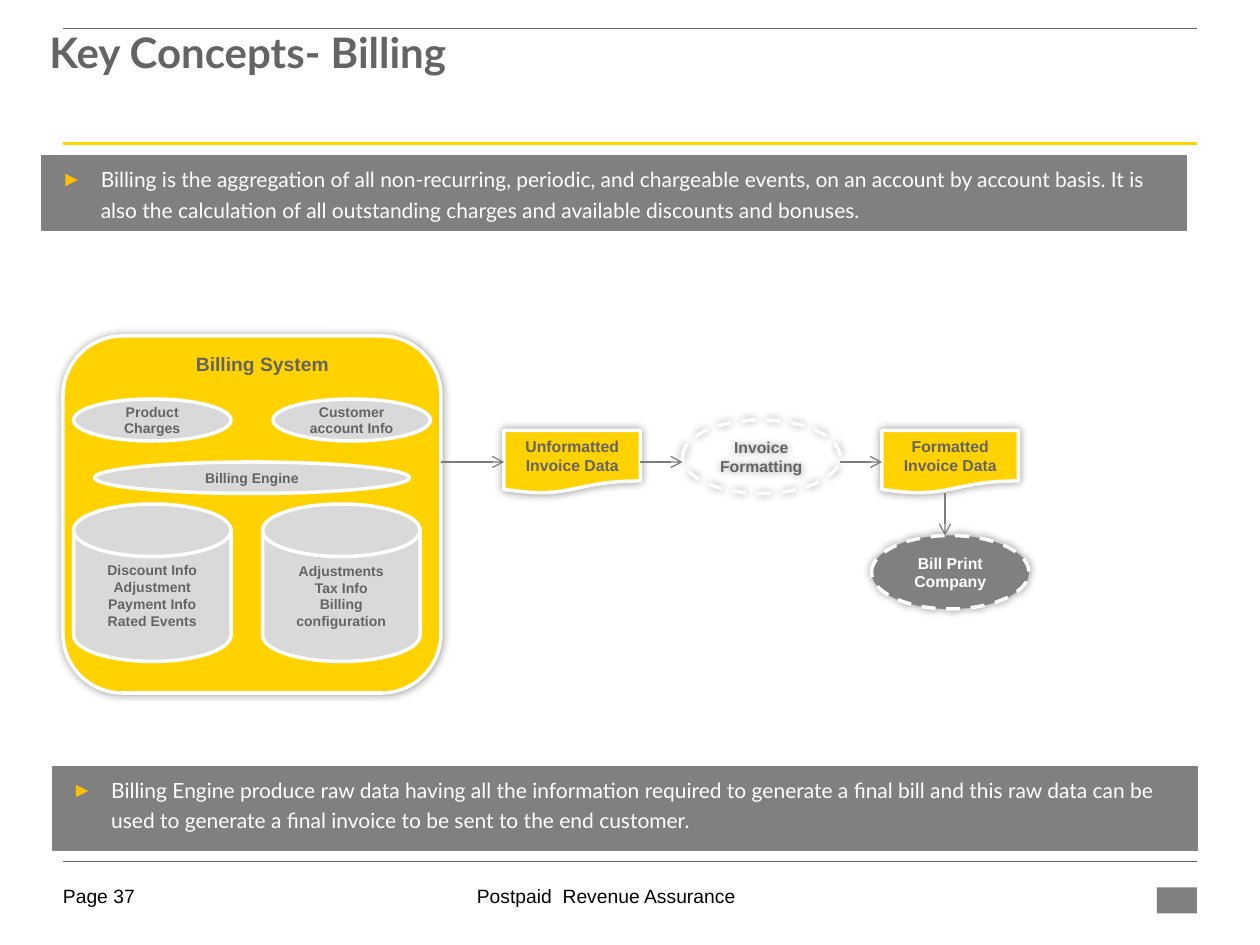
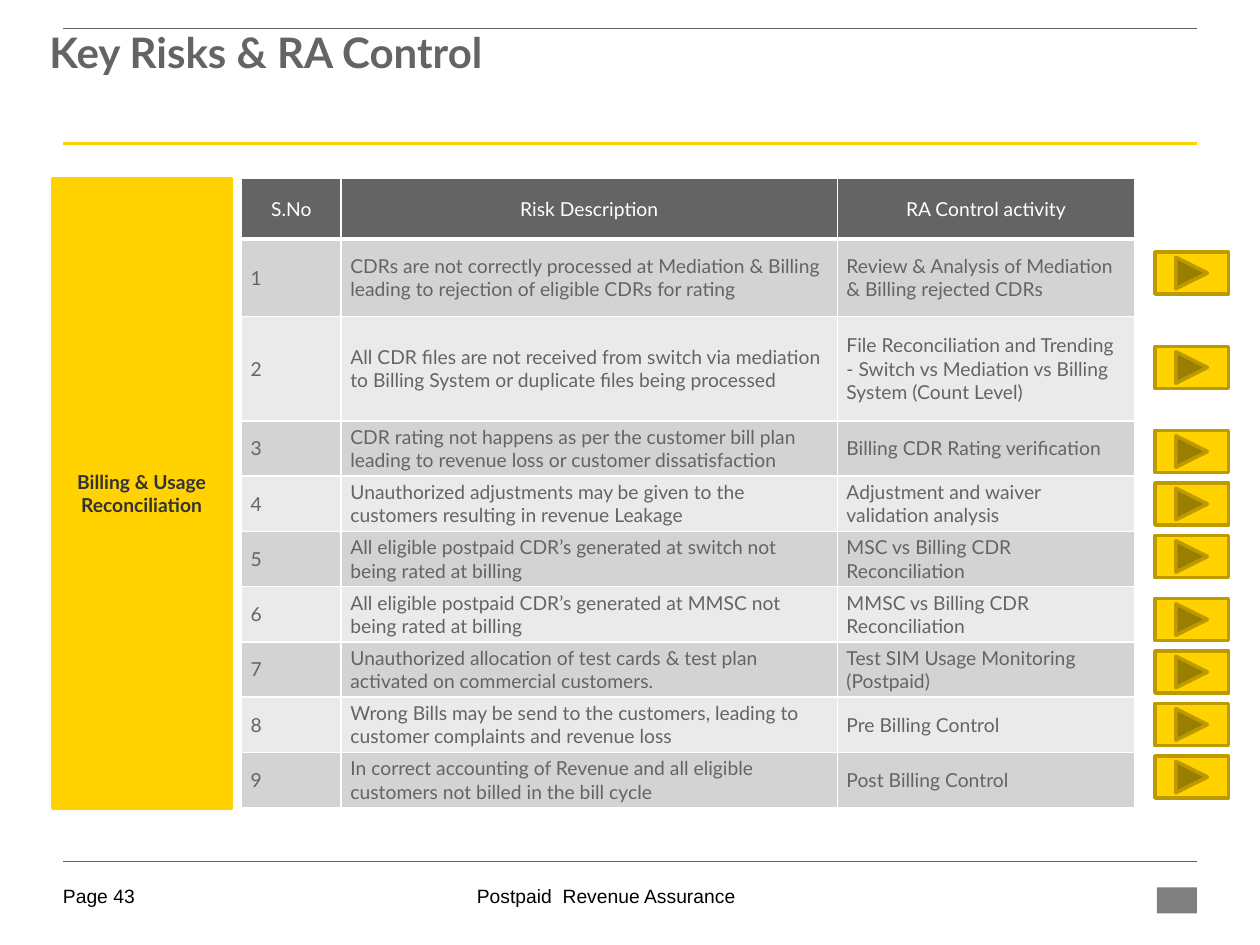
from pptx import Presentation
from pptx.dml.color import RGBColor
from pptx.enum.dml import MSO_LINE
from pptx.enum.shapes import MSO_CONNECTOR, MSO_SHAPE as Preset
from pptx.enum.text import MSO_ANCHOR as Anchor, MSO_AUTO_SIZE, PP_ALIGN as Align
from pptx.oxml.ns import qn
from pptx.util import Pt
from lxml.etree import SubElement

YELLOW = RGBColor(0xFF, 0xD2, 0x00)
DARK_YELLOW = RGBColor(0xBD, 0x9B, 0x00)
AMBER = RGBColor(0xFF, 0xC0, 0x00)
DARK_GRAY = RGBColor(0x64, 0x64, 0x64)
GRAY = RGBColor(0x80, 0x80, 0x80)
ARROW_GRAY = RGBColor(0x7D, 0x7D, 0x7D)
LIGHT_GRAY = RGBColor(0xD9, 0xD9, 0xD9)
ODD_ROW = RGBColor(0xD3, 0xD3, 0xD3)
EVEN_ROW = RGBColor(0xEA, 0xEA, 0xEA)
CHARCOAL = RGBColor(0x32, 0x32, 0x32)
BLACK = RGBColor(0, 0, 0)
WHITE = RGBColor(0xFF, 0xFF, 0xFF)

RISKS = [
    ("CDRs are not correctly processed at Mediation & Billing leading to rejection of eligible CDRs for rating",
     "Review & Analysis of Mediation & Billing rejected CDRs"),
    ("All CDR files are not received from switch via mediation to Billing System or duplicate files being processed",
     "File Reconciliation and Trending - Switch vs Mediation vs Billing System (Count Level)"),
    ("CDR rating not happens as per the customer bill plan leading to revenue loss or customer dissatisfaction",
     "Billing CDR Rating verification"),
    ("Unauthorized adjustments may be given to the customers resulting in revenue Leakage",
     "Adjustment and waiver validation analysis"),
    ("All eligible postpaid CDR’s generated at switch not being rated at billing",
     "MSC vs Billing CDR Reconciliation"),
    ("All eligible postpaid CDR’s generated at MMSC not being rated at billing",
     "MMSC vs Billing CDR Reconciliation"),
    ("Unauthorized allocation of test cards & test plan activated on commercial customers.",
     "Test SIM Usage Monitoring (Postpaid)"),
    ("Wrong Bills may be send to the customers, leading to customer complaints and revenue loss",
     "Pre Billing Control"),
    ("In correct accounting of Revenue and all eligible customers not billed in the bill cycle",
     "Post Billing Control"),
]


class Deck:
    """Holds the presentation style and the current slide."""

    def __init__(self):
        self.presentation = Presentation()
        self.presentation.slide_width = Pt(720)
        self.presentation.slide_height = Pt(540)
        self.slide = None

    def new_slide(self, title, page):
        layout = self.presentation.slide_layouts[5]
        self.slide = self.presentation.slides.add_slide(layout)
        # Rules at the top, under the title and above the footer
        self.line((36, 16), (684, 16), DARK_GRAY, 0.5)
        self.line((36, 82), (684, 82), YELLOW, 1.5)
        self.line((36, 492), (684, 492), DARK_GRAY, 0.25)
        # Title
        placeholder = self.slide.shapes.title
        placeholder.left, placeholder.top = Pt(21), Pt(16)
        placeholder.width, placeholder.height = Pt(684), Pt(68)
        self.set_text(placeholder, title, 24, DARK_GRAY, "Lato", True, Align.LEFT, Anchor.TOP)
        placeholder.text_frame.auto_size = MSO_AUTO_SIZE.NONE
        placeholder.text_frame.paragraphs[0].line_spacing = 0.85
        # Footer
        self.text_box((36, 505.5, 53, 16), f"Page {page}", 11, BLACK, align=Align.LEFT, inset=0)
        self.text_box((198, 505.5, 297, 16), "Postpaid  Revenue Assurance", 11, BLACK, inset=0)
        self.shape(Preset.RECTANGLE, (661, 507, 23, 15), GRAY)

    def set_text(self, holder, text, size, color, font="Arial", bold=False,
                 align=Align.CENTER, anchor=Anchor.MIDDLE):
        frame = holder.text_frame
        frame.text = text
        frame.word_wrap = True
        frame.vertical_anchor = anchor
        for paragraph in frame.paragraphs:
            paragraph.alignment = align
            for run in paragraph.runs:
                self.style(run, size, color, font, bold)

    def style(self, run, size, color, font, bold=False):
        run.font.name, run.font.size, run.font.bold = font, Pt(size), bold
        run.font.color.rgb = color

    def text_box(self, box, text, size, color, bold=False, align=Align.CENTER, inset=None):
        text_box = self.slide.shapes.add_textbox(*map(Pt, box))
        self.set_text(text_box, text, size, color, bold=bold, align=align, anchor=Anchor.TOP)
        if inset is not None:
            frame = text_box.text_frame
            frame.margin_left = frame.margin_right = Pt(inset)
            frame.margin_top = frame.margin_bottom = Pt(inset)

    def shape(self, preset, box, fill=None, line=None, width=2, dashed=False, glow=False):
        shape = self.slide.shapes.add_shape(preset, *map(Pt, box))
        shape.shadow.inherit = False
        if fill is None:
            shape.fill.background()
        else:
            shape.fill.solid()
            shape.fill.fore_color.rgb = fill
        if line is None:
            shape.line.fill.background()
        else:
            shape.line.color.rgb = line
            shape.line.width = Pt(width)
        if dashed:
            shape.line.dash_style = MSO_LINE.DASH
        if glow:
            effects = shape._element.spPr.find(qn("a:effectLst"))
            shadow = SubElement(effects, qn("a:outerShdw"), blurRad=str(Pt(5)), dist="0", dir="0",
                                algn="ctr", rotWithShape="0")
            color = SubElement(shadow, qn("a:srgbClr"), val=str(BLACK))
            SubElement(color, qn("a:alpha"), val="40000")
        return shape

    def node(self, preset, box, text, fill=LIGHT_GRAY, size=8, color=DARK_GRAY,
             anchor=Anchor.MIDDLE, **look):
        shape = self.shape(preset, box, fill, WHITE, **look)
        self.set_text(shape, text, size, color, bold=True, anchor=anchor)

    def band(self, box, text):
        shape = self.shape(Preset.RECTANGLE, box, GRAY, GRAY, 1)
        self.set_text(shape, text, 12, WHITE, "Lato", align=Align.LEFT, anchor=Anchor.TOP)
        paragraph = shape.text_frame.paragraphs[0]
        paragraph.line_spacing = 1.2
        properties = paragraph._p.get_or_add_pPr()
        properties.set("marL", str(Pt(26.5)))
        properties.set("indent", str(Pt(-22.5)))
        bullet_color = SubElement(properties, qn("a:buClr"))
        SubElement(bullet_color, qn("a:srgbClr"), val=str(AMBER))
        SubElement(properties, qn("a:buFont"), typeface="Arial")
        SubElement(properties, qn("a:buChar"), char="►")

    def line(self, start, end, color, width, arrow=False):
        connector = self.slide.shapes.add_connector(
            MSO_CONNECTOR.STRAIGHT, *map(Pt, start + end))
        connector.line.color.rgb = color
        connector.line.width = Pt(width)
        if arrow:
            SubElement(connector.line._get_or_add_ln(), qn("a:tailEnd"), type="arrow")
        SubElement(connector._element.spPr, qn("a:effectLst"))

    def table(self, left, top, columns, heights, rows):
        frame = self.slide.shapes.add_table(len(rows), len(columns), Pt(left), Pt(top),
                                            Pt(sum(columns)), Pt(sum(heights)))
        table = frame.table
        table.horz_banding = False
        for column, width in zip(table.columns, columns):
            column.width = Pt(width)
        for index, (row, height, texts) in enumerate(zip(table.rows, heights, rows)):
            row.height = Pt(height)
            for cell, text in zip(row.cells, texts):
                self.cell(cell, text, index)

    def cell(self, cell, text, row_index):
        header = row_index == 0
        cell.margin_left = cell.margin_right = Pt(5.25)
        cell.margin_top = cell.margin_bottom = 0
        cell.vertical_anchor = Anchor.MIDDLE
        properties = cell._tc.get_or_add_tcPr()
        for side in ("lnL", "lnR", "lnT", "lnB"):
            width = 3 if header and side == "lnB" else 1
            border = SubElement(properties, qn(f"a:{side}"), w=str(Pt(width)))
            fill = SubElement(border, qn("a:solidFill"))
            SubElement(fill, qn("a:srgbClr"), val=str(WHITE))
        cell.fill.solid()
        cell.fill.fore_color.rgb = DARK_GRAY if header else (EVEN_ROW, ODD_ROW)[row_index % 2]
        paragraph = cell.text_frame.paragraphs[0]
        paragraph.text = text
        paragraph.alignment = Align.CENTER if header else Align.LEFT
        self.style(paragraph.runs[0], 11, WHITE if header else DARK_GRAY, "Lato")


def build_billing(deck):
    deck.new_slide("Key Concepts- Billing", 37)
    deck.band((24, 89, 654, 42.5),
              "Billing is the aggregation of all non-recurring, periodic, and chargeable events, "
              "on an account by account basis. It is also the calculation of all outstanding "
              "charges and available discounts and bonuses.")

    # Billing system
    deck.shape(Preset.ROUNDED_RECTANGLE, (36, 192, 216, 204), YELLOW, WHITE, glow=True)
    deck.text_box((78, 198, 144, 21), "Billing System", 11, DARK_GRAY, bold=True)
    deck.node(Preset.OVAL, (42, 228, 90, 24), "Product Charges")
    deck.node(Preset.OVAL, (156, 228, 90, 24), "Customer account Info")
    deck.node(Preset.OVAL, (54, 264, 180, 18), "Billing Engine")
    deck.node(Preset.FLOWCHART_MAGNETIC_DISK, (42, 288, 90, 90),
              "Discount Info\nAdjustment\nPayment Info\nRated Events", anchor=Anchor.BOTTOM)
    deck.node(Preset.FLOWCHART_MAGNETIC_DISK, (150, 288, 90, 90),
              "Adjustments\nTax Info\nBilling configuration")

    # Invoice flow
    for left, text in ((288, "Unformatted Invoice Data"), (504, "Formatted Invoice Data")):
        deck.node(Preset.FLOWCHART_DOCUMENT, (left, 246, 78, 36), text, YELLOW, 9, glow=True)
    deck.node(Preset.OVAL, (390, 240, 90, 42), "Invoice Formatting", None, 9,
              dashed=True, glow=True)
    deck.node(Preset.OVAL, (498, 306, 90, 42), "Bill Print Company", GRAY, 9, WHITE,
              dashed=True, glow=True)
    for start, end in (((252, 264), (288, 264)), ((366, 264), (390, 264)),
                       ((480, 264), (504, 264)), ((540, 282), (540, 306))):
        deck.line(start, end, ARROW_GRAY, 0.75, arrow=True)

    deck.band((30, 438, 654, 48),
              "Billing Engine produce raw data having all the information required to generate a "
              "final bill and this raw data can be used to generate a final invoice to be sent to "
              "the end customer.")


def build_risks(deck):
    deck.new_slide("Key Risks & RA Control", 43)
    rows = [("S.No", "Risk Description", "RA Control activity")]
    rows += [(str(number), *risk) for number, risk in enumerate(RISKS, 1)]
    deck.table(138, 102, (57, 283.5, 170), [34.5, 44.5, 59.5] + [31.6] * 7, rows)

    # Process name
    process = deck.shape(Preset.RECTANGLE, (30, 102, 102, 360), YELLOW, YELLOW)
    deck.set_text(process, "Billing & Usage Reconciliation", 11, CHARCOAL, "Lato", True)

    # One forward button for each risk
    for top in (144, 198, 246, 276, 306, 342, 372, 402, 432):
        deck.shape(Preset.ACTION_BUTTON_FORWARD_OR_NEXT, (660, top, 42, 24), YELLOW, DARK_YELLOW)


def main():
    deck = Deck()
    build_billing(deck)
    build_risks(deck)
    deck.presentation.save("out.pptx")


if __name__ == "__main__":
    main()
